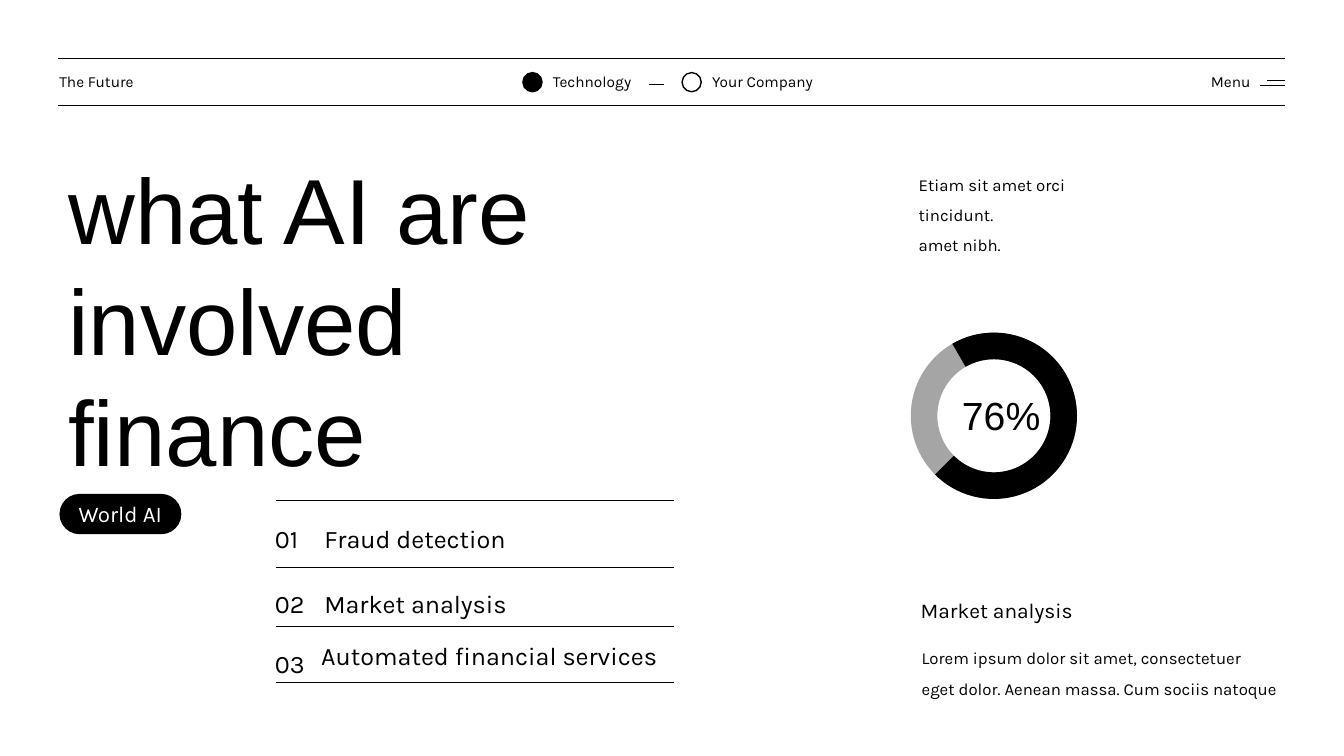
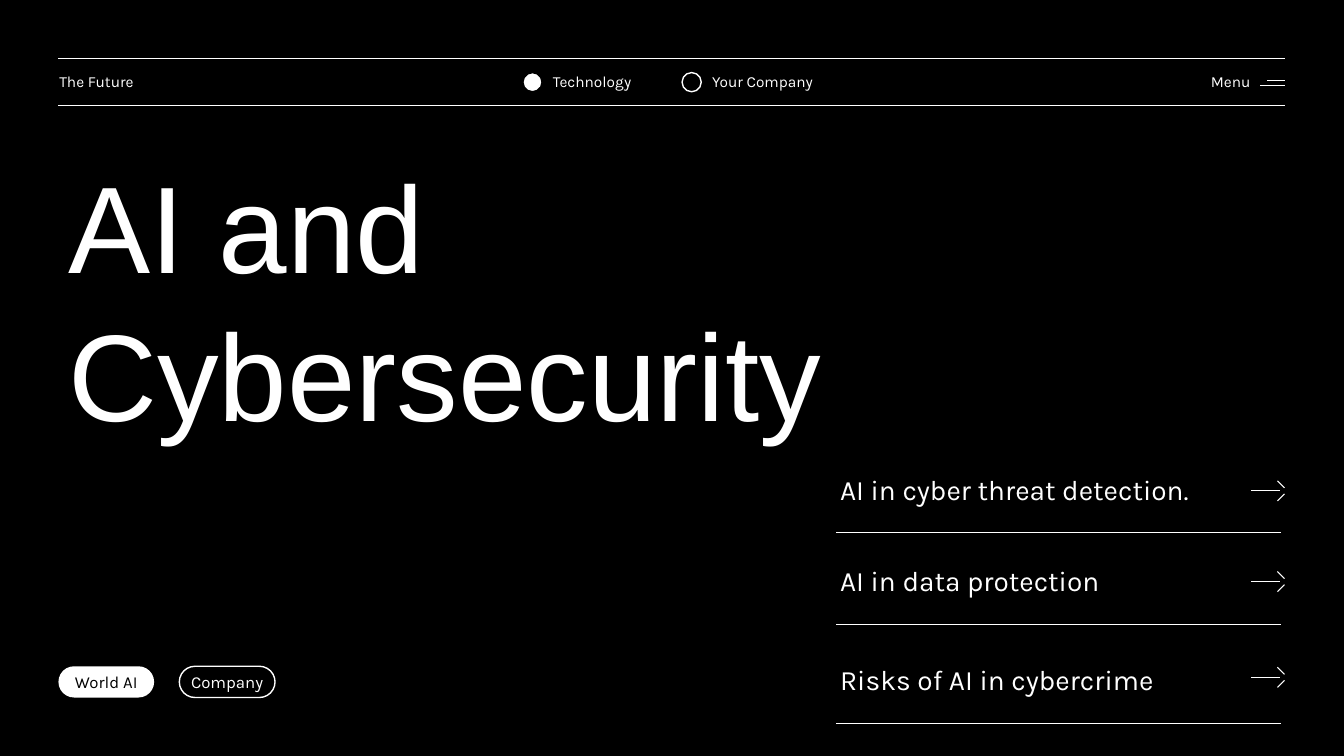
"""Build two slides on AI in finance and cybersecurity, one light and one dark."""
from lxml.etree import SubElement
from pptx import Presentation
from pptx.dml.color import RGBColor
from pptx.enum.shapes import MSO_CONNECTOR, MSO_SHAPE
from pptx.enum.text import MSO_ANCHOR, PP_ALIGN
from pptx.oxml.ns import qn
from pptx.util import Pt

PX = 9144
HUES = {"black": "000000", "white": "FFFFFF", "gray": "A5A5A5"}
INK = {name: RGBColor.from_string(code) for name, code in HUES.items()}


def write(page, text, box, size, hue, font="Karla", space=1, shape=None):
    """Put text in a new box, or centre it in the given shape."""
    host = shape or page.shapes.add_textbox(*[n * PX for n in box])
    frame = host.text_frame
    frame.word_wrap = shape is None
    frame.vertical_anchor = MSO_ANCHOR.MIDDLE if shape else MSO_ANCHOR.TOP
    frame.text = text
    for para in frame.paragraphs:
        para.alignment = PP_ALIGN.CENTER if shape else PP_ALIGN.LEFT
        para.line_spacing = space
        para.font.name = font
        para.font.size = Pt(size)
        para.font.color.rgb = INK[hue]


def rule(page, x1, y1, x2, y2, hue, width=0.75):
    """Draw a straight line."""
    line = page.shapes.add_connector(
        MSO_CONNECTOR.STRAIGHT, x1 * PX, y1 * PX, x2 * PX, y2 * PX)
    line.line.color.rgb = INK[hue]
    line.line.width = Pt(width)
    SubElement(line._element.spPr, qn("a:effectLst"))


deck = Presentation()
deck.slide_width, deck.slide_height = 1334 * PX, 750 * PX
light, dark = [deck.slides.add_slide(deck.slide_layouts[6]) for _ in range(2)]

for page, back, fore in [(light, "white", "black"), (dark, "black", "white")]:
    page.background.fill.solid()
    page.background.fill.fore_color.rgb = INK[back]
    for y in (58, 105):
        rule(page, 58, y, 1275, y, fore)
    for x, y in [(1258, 80), (1251, 85)]:
        rule(page, x, y, 1275, y, fore, width=1)
    for text, x, w in [("The Future", 49, 119), ("Technology", 539, 128),
                       ("Your Company", 697, 138), ("Menu", 1192, 83)]:
        write(page, text, (x, 67, w, 29), 11, fore)

rule(light, 644, 84, 659, 84, "black", width=1)

OVAL, PILL = MSO_SHAPE.OVAL, MSO_SHAPE.ROUNDED_RECTANGLE
DONUT, ARC = MSO_SHAPE.DONUT, MSO_SHAPE.BLOCK_ARC
DOT, RING, DIAL = (519, 72, 19, 19), (677, 72, 19, 19), (904, 330, 165, 165)
TURN = 0.6
for page, kind, box, fill, edge, bends, label in [
        (light, OVAL, DOT, "black", "black", [], None),
        (light, OVAL, RING, None, "black", [], None),
        (light, PILL, (59, 490, 121, 40), "black", None, [0.5],
         ("World AI", 16, "white")),
        (light, DONUT, DIAL, "gray", None, [0.16], None),
        (light, ARC, DIAL, "black", None, [240 * TURN, 135 * TURN, 0.16], None),
        (dark, OVAL, DOT, "white", "black", [], None),
        (dark, OVAL, RING, None, "white", [], None),
        (dark, PILL, (58, 661, 95, 31), "white", None, [0.5],
         ("World AI", 12, "black")),
        (dark, PILL, (178, 661, 95, 31), None, "white", [0.5],
         ("Company", 12, "white"))]:
    shape = page.shapes.add_shape(kind, *[n * PX for n in box])
    shape.shadow.inherit = False
    for i, bend in enumerate(bends):
        shape.adjustments[i] = bend
    if fill:
        shape.fill.solid()
        shape.fill.fore_color.rgb = INK[fill]
    else:
        shape.fill.background()
    if edge:
        shape.line.color.rgb = INK[edge]
        shape.line.width = Pt(1)
    else:
        shape.line.fill.background()
    if label:
        text, size, hue = label
        write(page, text, box, size, hue, shape=shape)

write(light, "what AI are\ninvolved finance", (58, 146, 675, 340), 66, "black",
      font="Arial")
for y in (497, 563, 622, 677):
    rule(light, 274, y, 669, y, "black")
for code, y, text, x, top in [
        ("01", 499, "Fraud detection", 312, 499),
        ("02", 564, "Market analysis", 312, 564),
        ("03", 623, "Automated financial services", 309, 615)]:
    write(light, code, (263, y, 52, 55), 18, "black", space=1.5)
    write(light, text, (x, top, 421, 55), 18, "black", space=1.5)
write(light, "Etiam sit amet orci\ntincidunt.\namet nibh.",
      (902, 158, 419, 130), 12, "black", space=1.5)
write(light, "76%", (945, 383, 112, 57), 28, "black", font="Arial")
write(light, "Market analysis", (904, 588, 207, 35), 15, "black")
write(light, "Lorem ipsum dolor sit amet, consectetuer\n"
      "eget dolor. Aenean massa. Cum sociis natoque",
      (905, 628, 420, 70), 12, "black", space=1.5)

write(dark, "AI and Cybersecurity", (58, 144, 808, 304), 88, "white",
      font="Arial")
for text, top, base, mid in [
        ("AI in cyber threat detection.", 464, 528, 487),
        ("AI in data protection", 554, 619, 577),
        ("Risks of AI in cybercrime", 652, 717, 672)]:
    write(dark, text, (824, top, 407, 44), 20, "white")
    rule(dark, 830, base, 1272, base, "white", width=0.25)
    rule(dark, 1242, mid, 1271, mid, "white")
    for side in (-1, 1):
        rule(dark, 1268, mid + 10 * side, 1275, mid + 3 * side, "white")

deck.save("out.pptx")
